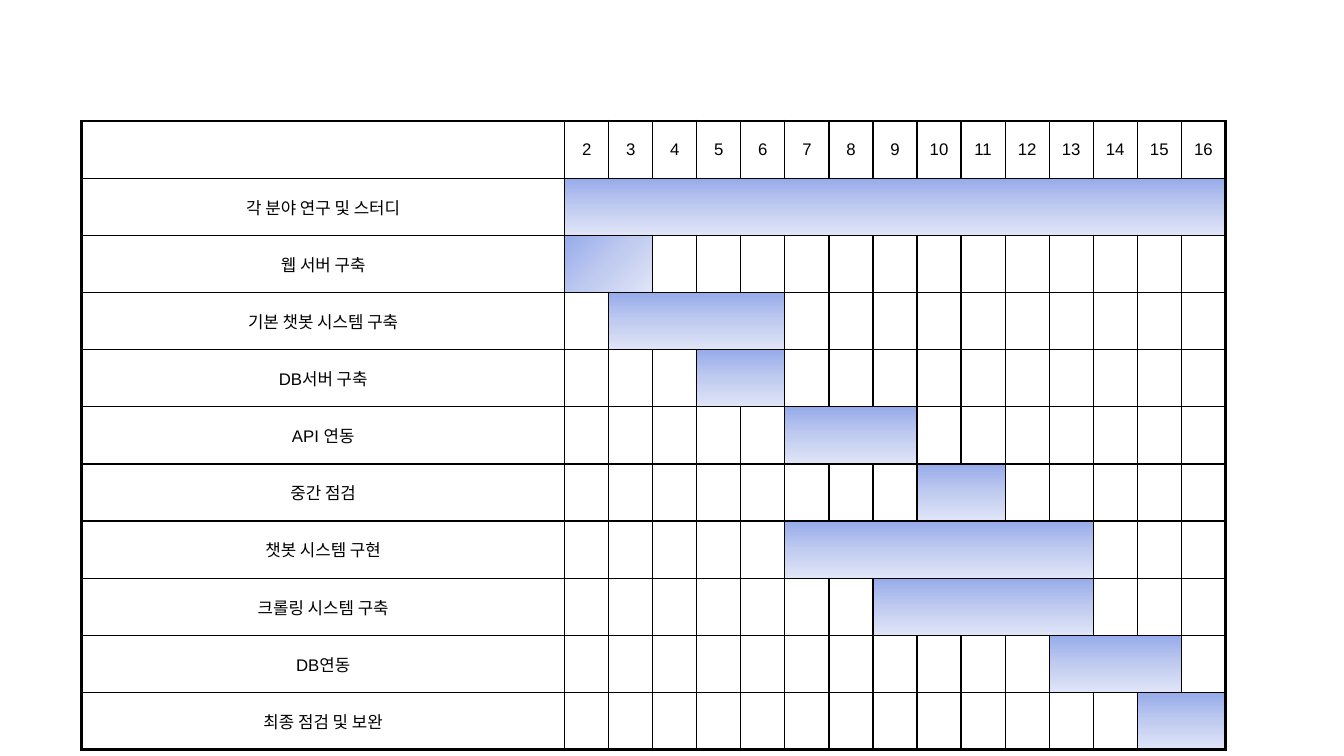
from lxml import etree
from pptx import Presentation
from pptx.dml.color import RGBColor
from pptx.enum.text import MSO_ANCHOR, PP_ALIGN
from pptx.oxml.ns import qn
from pptx.util import Cm, Pt

CENTER = PP_ALIGN.CENTER
MIDDLE = MSO_ANCHOR.MIDDLE

BLACK = RGBColor(0x00, 0x00, 0x00)
# Bar colours from start to end, with their place in percent
SHADES = [
    (0, RGBColor(0x96, 0xAB, 0xEA)),
    (50, RGBColor(0xC0, 0xCB, 0xF0)),
    (100, RGBColor(0xE0, 0xE5, 0xF7)),
]

WEEKS = range(2, 17)
# Task, first week, last week, angle of the bar's gradient
TASKS = [
    ("각 분야 연구 및 스터디", 2, 16, 90),
    ("웹 서버 구축", 2, 3, 45),
    ("기본 챗봇 시스템 구축", 3, 6, 90),
    ("DB서버 구축", 5, 6, 90),
    ("API 연동", 7, 9, 90),
    ("중간 점검", 10, 11, 90),
    ("챗봇 시스템 구현", 7, 13, 90),
    ("크롤링 시스템 구축", 9, 13, 90),
    ("DB연동", 13, 15, 90),
    ("최종 점검 및 보완", 15, 16, 90),
]


def add(parent, tag, **attrs):
    """Append an XML child with the given attributes."""
    child = etree.SubElement(parent, qn(tag))
    for key, value in attrs.items():
        child.set(key, str(value))
    return child


class Plan:
    """Style of the schedule and the slide it is built on."""

    latin = "Arial"
    asian = "Noto Sans CJK KR"
    size = Pt(12)
    thin = Pt(1)
    thick = Pt(2.25)

    def __init__(self, slide):
        self.slide = slide

    def grid(self, left, top, widths, heights):
        """Add a plain table with a thick frame and thin inner lines."""
        frame = self.slide.shapes.add_table(
            len(heights), len(widths), left, top, sum(widths), sum(heights))
        table = frame.table
        table.first_row = False
        table.horz_banding = False
        for col, width in zip(table.columns, widths):
            col.width = width
        for row, height in zip(table.rows, heights):
            row.height = height
        right, base = len(widths) - 1, len(heights) - 1
        for r in range(len(heights)):
            for c in range(len(widths)):
                cell = table.cell(r, c)
                self.edges(cell, L=c == 0, R=c == right, T=r == 0, B=r == base)
                cell.fill.background()
        return table

    def edges(self, cell, **sides):
        """Draw the four borders; a true side is thick."""
        props = cell._tc.get_or_add_tcPr()
        for side, bold in sides.items():
            line = add(props, f"a:ln{side}", w=self.thick if bold else self.thin)
            add(add(line, "a:solidFill"), "a:srgbClr", val=BLACK)

    def label(self, cell, text):
        """Write centred text into a cell."""
        cell.vertical_anchor = MIDDLE
        para = cell.text_frame.paragraphs[0]
        para.alignment = CENTER
        run = para.add_run()
        run.text = text
        run.font.size = self.size
        run.font.name = self.latin
        run.font.color.rgb = BLACK
        add(run.font._element, "a:ea", typeface=self.asian)

    def bar(self, table, row, first, last, angle):
        """Merge a span of weeks and fill it with the gradient."""
        cell = table.cell(row, first)
        cell.merge(table.cell(row, last))
        props = cell._tc.get_or_add_tcPr()
        # The merged cell takes the right border of its last week
        if last == len(table.columns) - 1:
            props.find(qn("a:lnR")).set("w", str(self.thick))
        props.remove(props.find(qn("a:noFill")))
        grad = add(props, "a:gradFill", rotWithShape=1)
        stops = add(grad, "a:gsLst")
        for place, color in SHADES:
            add(add(stops, "a:gs", pos=place * 1000), "a:srgbClr", val=color)
        add(grad, "a:lin", ang=angle * 60000, scaled=0)


def main():
    deck = Presentation()
    deck.slide_width = Cm(33.87)
    deck.slide_height = Cm(19.05)
    plan = Plan(deck.slides.add_slide(deck.slide_layouts[6]))

    # Empty grid: one column for tasks, one for each week
    widths = [Cm(12.17)] + [Cm(1.11)] * len(WEEKS)
    heights = [Cm(1.44)] * (len(TASKS) + 1)
    table = plan.grid(Cm(2.06), Cm(3.05), widths, heights)

    # Week numbers
    for col, week in enumerate(WEEKS, 1):
        plan.label(table.cell(0, col), str(week))

    # Task names and their bars
    shift = WEEKS[0] - 1
    for row, (name, first, last, angle) in enumerate(TASKS, 1):
        plan.label(table.cell(row, 0), name)
        plan.bar(table, row, first - shift, last - shift, angle)

    deck.save("out.pptx")


if __name__ == "__main__":
    main()
